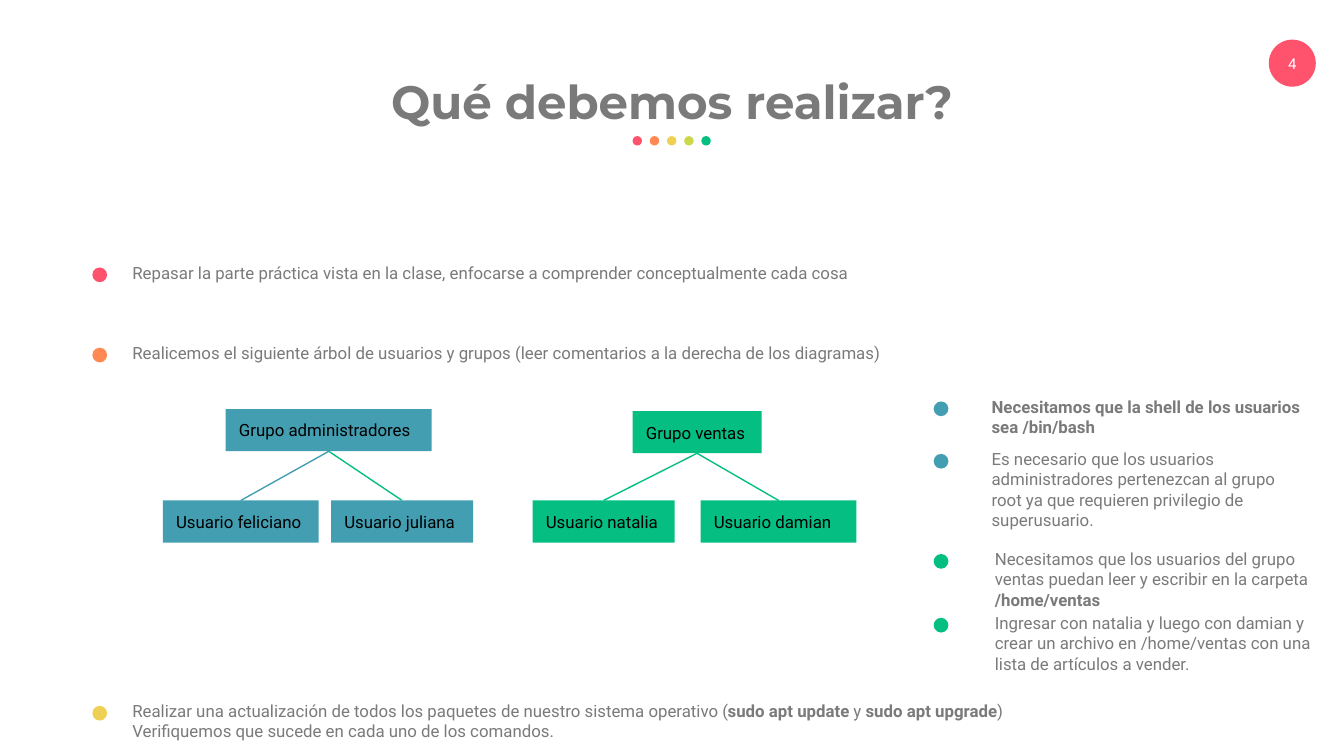
from pptx import Presentation
from pptx.dml.color import RGBColor
from pptx.enum.shapes import MSO_CONNECTOR, MSO_SHAPE
from pptx.enum.text import MSO_ANCHOR, PP_ALIGN
from pptx.oxml.ns import qn
from pptx.util import Inches, Pt

OVAL, RECT, STRAIGHT = MSO_SHAPE.OVAL, MSO_SHAPE.RECTANGLE, MSO_CONNECTOR.STRAIGHT
TOP, MIDDLE = MSO_ANCHOR.TOP, MSO_ANCHOR.MIDDLE
LEFT, CENTER = PP_ALIGN.LEFT, PP_ALIGN.CENTER
BOTTOM_SITE, TOP_SITE = 2, 0

PINK = RGBColor(0xFF, 0x52, 0x6D)
ORANGE = RGBColor(0xFF, 0x88, 0x54)
YELLOW = RGBColor(0xEE, 0xD0, 0x54)
LIME = RGBColor(0xCB, 0xD8, 0x4C)
GREEN = RGBColor(0x05, 0xBE, 0x82)
TEAL = RGBColor(0x43, 0x9E, 0xB1)
GRAY = RGBColor(0x7A, 0x7A, 0x7A)
WHITE = RGBColor(0xFF, 0xFF, 0xFF)
BLACK = RGBColor(0, 0, 0)

# A 16:9 slide
prs = Presentation()
prs.slide_width = Inches(10)
prs.slide_height = prs.slide_width * 9 // 16
slide = prs.slides.add_slide(prs.slide_layouts[5])
shapes = slide.shapes

# Grid of 100 columns by 56.25 rows
COL = prs.slide_width / 100
ROW = prs.slide_height / 56.25


def add_solid(kind, x, y, w, h, color):
    solid = shapes.add_shape(kind, int(x * COL), int(y * ROW), int(w * COL), int(h * ROW))
    solid.shadow.inherit = False
    solid.fill.solid()
    solid.fill.fore_color.rgb = color
    solid.line.fill.background()
    return solid


def write(shape, paragraphs, size=9, color=GRAY, font="Roboto", align=LEFT,
          anchor=TOP, inset=(0.75, 0.4)):
    """Each paragraph is a list of runs; every run is (text, bold)."""
    frame = shape.text_frame
    frame.word_wrap = True
    frame.vertical_anchor = anchor
    frame.margin_left = frame.margin_right = int(inset[0] * COL)
    frame.margin_top = frame.margin_bottom = int(inset[1] * ROW)
    for i, runs in enumerate(paragraphs):
        paragraph = frame.add_paragraph() if i else frame.paragraphs[0]
        paragraph.alignment = align
        for text, bold in runs:
            run = paragraph.add_run()
            run.text = text
            run.font.name, run.font.size, run.font.bold = font, Pt(size), bold
            run.font.color.rgb = color


# Page number
add_solid(OVAL, 94.4, 2.95, 3.5, 3.5, PINK)
page_number = shapes.add_textbox(int(92.8 * COL), int(3.65 * ROW), int(6.7 * COL), int(2.1 * ROW))
write(page_number, [[("4", False)]], size=8, color=WHITE, align=CENTER, anchor=MIDDLE)

# Title with its row of dots
title = shapes.title
title.left, title.top = int(6.9 * COL), int(5 * ROW)
title.width, title.height = int(86.2 * COL), int(5.3 * ROW)
write(title, [[("Qué debemos realizar?", True)]], size=25, font="Montserrat", align=CENTER)
for i, color in enumerate((PINK, ORANGE, YELLOW, LIME, GREEN)):
    add_solid(OVAL, 47.07 + 1.28 * i, 10.13, 0.7, 0.7, color)

# Tasks and comments: dot column, text column, row, width, height, colour, text
bullets = [
    (6.87, 9.1, 19.13, 55.2, 2.5, PINK,
     [[("Repasar la parte práctica vista en la clase, enfocarse a comprender "
        "conceptualmente cada cosa", False)]]),
    (6.87, 9.1, 25.1, 64.5, 2.5, ORANGE,
     [[("Realicemos el siguiente árbol de usuarios y grupos (leer comentarios a la "
        "derecha de los diagramas)", False)]]),
    (6.87, 9.1, 51.75, 68.7, 3.6, YELLOW,
     [[("Realizar una actualización de todos los paquetes de nuestro sistema operativo (", False),
       ("sudo apt update", True), (" y ", False), ("sudo apt upgrade", True), (")", False)],
      [("Verifiquemos que sucede en cada uno de los comandos.", False)]]),
    (69.47, 73.03, 29.1, 25, 3.6, TEAL,
     [[("Necesitamos que la shell de los usuarios sea /bin/bash", True)]]),
    (69.47, 73.03, 33, 25, 7.3, TEAL,
     [[("Es necesario que los usuarios administradores pertenezcan al grupo root ya que "
        "requieren privilegio de superusuario.", False)]]),
    (69.47, 73.27, 40.45, 26.7, 5.3, GREEN,
     [[("Necesitamos que los usuarios del grupo ventas puedan leer y escribir en la carpeta ",
        False), ("/home/ventas", True)]]),
    (69.47, 73.27, 45.2, 26.7, 5.3, GREEN,
     [[("Ingresar con natalia y luego con damian y crear un archivo en /home/ventas con una "
        "lista de artículos a vender.", False)]]),
]
for dot_x, text_x, y, w, h, color, paragraphs in bullets:
    body = shapes.add_textbox(int(text_x * COL), int(y * ROW), int(w * COL), int(h * ROW))
    write(body, paragraphs)
    add_solid(OVAL, dot_x, y + 0.77, 1.1, 1.1, color)

# Group trees: each node is (text, column, row, width), each user adds its line colour
USER_ROW, NODE_HEIGHT = 37.24, 3.13
trees = [
    (TEAL, ("Grupo administradores", 16.8, 30.45, 15.33),
     [("Usuario feliciano", 12.12, USER_ROW, 11.6, TEAL),
      ("Usuario juliana", 24.63, USER_ROW, 10.57, GREEN)]),
    (GREEN, ("Grupo ventas", 47.07, 30.6, 9.6),
     [("Usuario natalia", 39.63, USER_ROW, 10.57, GREEN),
      ("Usuario damian", 52.13, USER_ROW, 11.6, GREEN)]),
]
for fill, group, users in trees:
    nodes = []
    for text, x, y, w in [group] + [user[:4] for user in users]:
        node = add_solid(RECT, x, y, w, NODE_HEIGHT, fill)
        write(node, [[(text, False)]], color=BLACK, anchor=MIDDLE, inset=(1, 1))
        nodes.append(node)
    for user_node, user in zip(nodes[1:], users):
        branch = shapes.add_connector(STRAIGHT, 0, 0, 0, 0)
        branch.begin_connect(nodes[0], BOTTOM_SITE)
        branch.end_connect(user_node, TOP_SITE)
        branch.line.color.rgb = user[4]
        branch.line.width = Pt(0.75)
        properties = branch._element.spPr
        properties.append(properties.makeelement(qn("a:effectLst"), {}))

prs.save("out.pptx")
